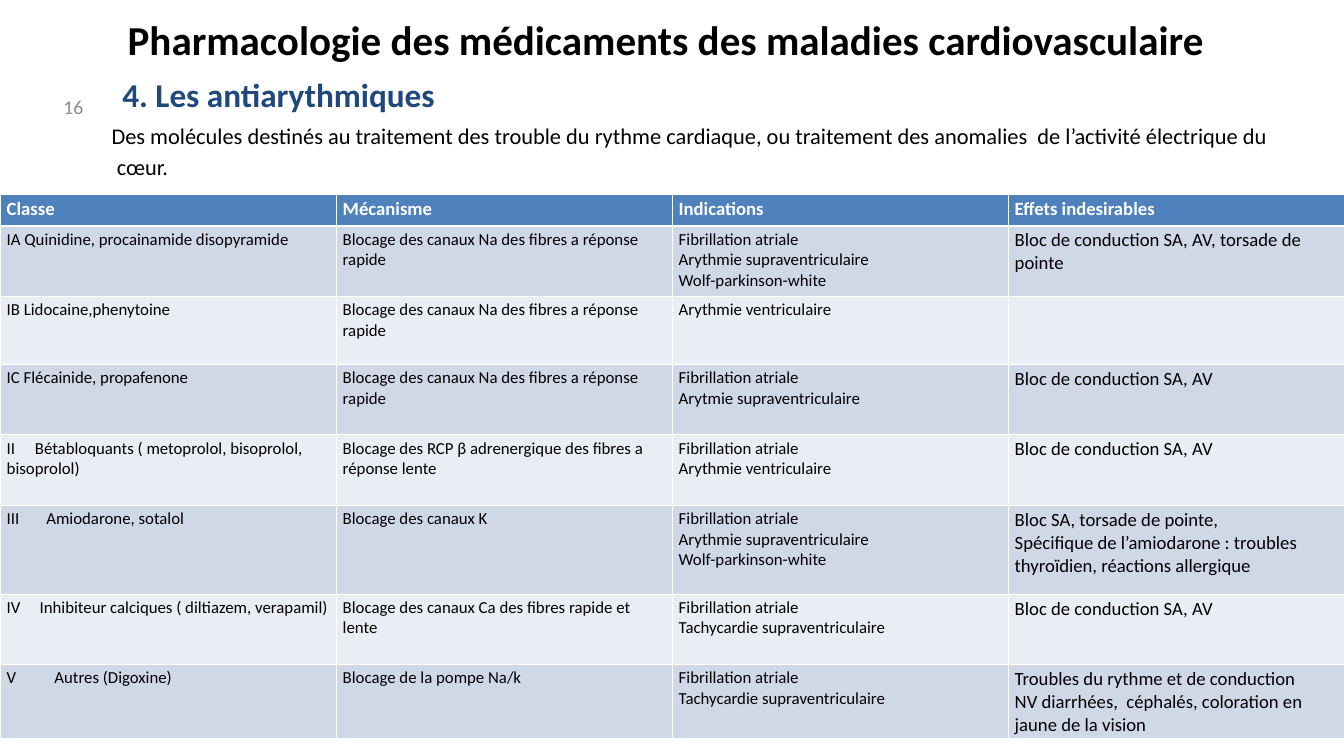
from lxml import etree
from pptx import Presentation
from pptx.dml.color import RGBColor
from pptx.enum.text import MSO_ANCHOR, PP_ALIGN
from pptx.oxml.ns import qn
from pptx.util import Inches, Pt

TOP, MIDDLE = MSO_ANCHOR.TOP, MSO_ANCHOR.MIDDLE
LEFT, RIGHT = PP_ALIGN.LEFT, PP_ALIGN.RIGHT
FONT = "Calibri"
COLORS = {
    "black": "000000", "white": "FFFFFF", "navy": "1F497D", "grey": "8C8C8C",
    "head": "4F81BD", "odd": "D0D8E8", "even": "E9EDF4",
}

FIB = "Fibrillation atriale"
SUPRA = "Arythmie supraventriculaire"
VENT = "Arythmie ventriculaire"
TACHY = "Tachycardie supraventriculaire"
WOLF = "Wolf-parkinson-white"
FAST = "Blocage des canaux Na des fibres a réponse rapide"
BLOCK = "Bloc de conduction SA, AV"

HEADS = ["Classe", "Mécanisme", "Indications", "Effets indesirables"]
# Row height, tab stop after the class numeral, then the lines of each cell
DRUGS = [
    (1.05, 0, ["IA Quinidine, procainamide disopyramide"], [FAST],
     [FIB, SUPRA, WOLF], [BLOCK + ", torsade de pointe"]),
    (1.01, 0, ["IB Lidocaine,phenytoine"], [FAST], [VENT], []),
    (1.05, 0, ["IC Flécainide, propafenone"], [FAST],
     [FIB, "Arytmie supraventriculaire"], [BLOCK]),
    (1.05, 0.42, ["II\tBétabloquants ( metoprolol, bisoprolol, bisoprolol)"],
     ["Blocage des RCP β adrenergique des fibres a réponse lente"],
     [FIB, VENT], [BLOCK]),
    (1.32, 0.59, ["III\tAmiodarone, sotalol"], ["Blocage des canaux K"],
     [FIB, SUPRA, WOLF],
     ["Bloc SA, torsade de pointe,",
      "Spécifique de l’amiodarone : troubles thyroïdien, réactions allergique"]),
    (1.05, 0.49, ["IV\tInhibiteur calciques ( diltiazem, verapamil)"],
     ["Blocage des canaux Ca des fibres rapide et lente"],
     [FIB, TACHY], [BLOCK]),
    (1.06, 0.71, ["V\tAutres (Digoxine)"], ["Blocage de la pompe Na/k"],
     [FIB, TACHY],
     ["Troubles du rythme et de conduction",
      "NV diarrhées,  céphalés, coloration en jaune de la vision"]),
]


def rgb(name):
    return RGBColor.from_string(COLORS[name])


class Deck:
    def __init__(self, wide, high):
        self.prs = Presentation()
        self.prs.slide_width, self.prs.slide_height = Inches(wide), Inches(high)
        self.slide = self.prs.slides.add_slide(self.prs.slide_layouts[6])

    def fill_text(self, frame, lines, size, color, bold=False, align=LEFT,
                  tab=0, gap=0, shift=0):
        """Fill a frame; gap and shift are the space and indent of later lines."""
        for i, line in enumerate(lines):
            para = frame.add_paragraph() if i else frame.paragraphs[0]
            para.alignment = align
            if i and gap:
                para.space_before = Pt(gap)
            props = para._p.get_or_add_pPr()
            if i and shift:
                props.set("indent", str(Inches(shift)))
            if tab:
                stops = etree.SubElement(props, qn("a:tabLst"))
                etree.SubElement(stops, qn("a:tab"), pos=str(Inches(tab)), algn="l")
            run = para.add_run()
            run.text = line
            font = run.font
            font.name, font.size, font.bold = FONT, Pt(size), bold
            font.color.rgb = rgb(color)

    def text(self, box, lines, size, color, anchor=TOP, **style):
        frame = self.slide.shapes.add_textbox(*map(Inches, box)).text_frame
        frame.word_wrap = True
        frame.vertical_anchor = anchor
        frame.margin_left = frame.margin_right = Inches(0.18)
        frame.margin_top = frame.margin_bottom = Inches(0.09)
        self.fill_text(frame, lines, size, color, **style)

    def border(self, cell, widths):
        """Draw white edges, widths in points for left, right, top, bottom."""
        props = cell._tc.get_or_add_tcPr()
        for side, width in zip("LRTB", widths):
            line = etree.SubElement(props, qn(f"a:ln{side}"), w=str(Pt(width)))
            fill = etree.SubElement(line, qn("a:solidFill"))
            etree.SubElement(fill, qn("a:srgbClr"), val=COLORS["white"])

    def cell(self, cell, lines, fill, widths, *style, **more):
        self.border(cell, widths)
        cell.fill.solid()
        cell.fill.fore_color.rgb = rgb(fill)
        self.fill_text(cell.text_frame, lines, *style, **more)

    def table(self, left, top, width, heads, rows, first):
        high = first + sum(row[0] for row in rows)
        grid = self.slide.shapes.add_table(
            len(rows) + 1, len(heads), *map(Inches, (left, top, width, high))).table
        grid.rows[0].height = Inches(first)
        for c, head in enumerate(heads):
            grid.columns[c].width = Inches(width / len(heads))
            self.cell(grid.cell(0, c), [head], "head", (1, 1, 1, 3),
                      20, "white", bold=True)
        for r, (height, tab, *cells) in enumerate(rows, 1):
            grid.rows[r].height = Inches(height)
            fill = "odd" if r % 2 else "even"
            widths = (1, 1, 3 if r == 1 else 1, 1)
            for c, lines in enumerate(cells):
                size = 20 if c == len(heads) - 1 else 18
                self.cell(grid.cell(r, c), lines, fill, widths, size, "black",
                          tab=0 if c else tab)


def main():
    deck = Deck(20, 11.25)
    deck.text((1.64, 1.02, 14.57, 0.71), ["4. Les antiarythmiques"],
              35.6, "navy", bold=True)
    deck.text((1.72, 0, 18, 1.16),
              ["Pharmacologie des médicaments des maladies cardiovasculaire"],
              44, "black", MIDDLE, bold=True)
    deck.text((0.53, 1.28, 0.89, 0.6), ["16"], 21, "grey", MIDDLE, align=RIGHT)
    deck.text((1.48, 1.72, 17.73, 8.44),
              ["Des molécules destinés au traitement des trouble du rythme cardiaque, "
               "ou traitement des anomalies  de l’activité électrique du", "cœur."],
              24, "black", gap=4.8, shift=0.08)
    deck.table(0, 2.89, 20, HEADS, DRUGS, 0.47)
    deck.prs.save("out.pptx")


if __name__ == "__main__":
    main()
